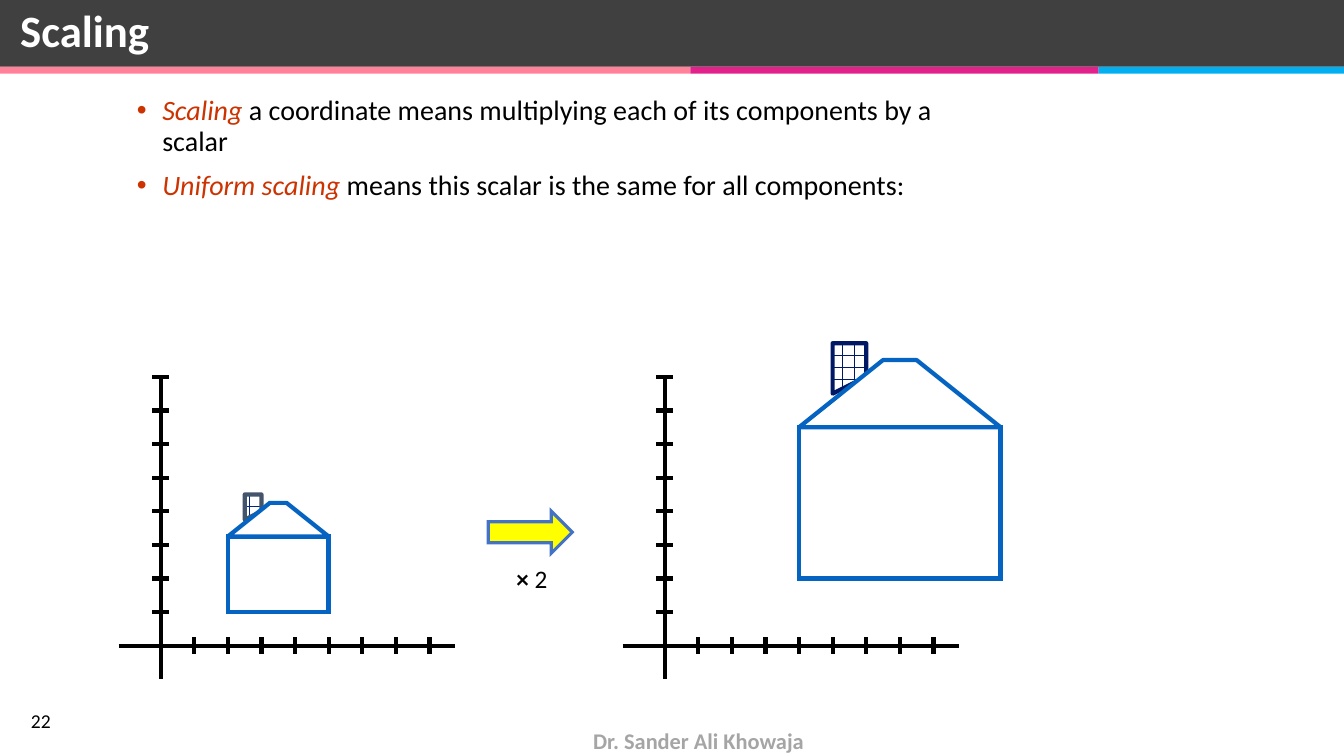
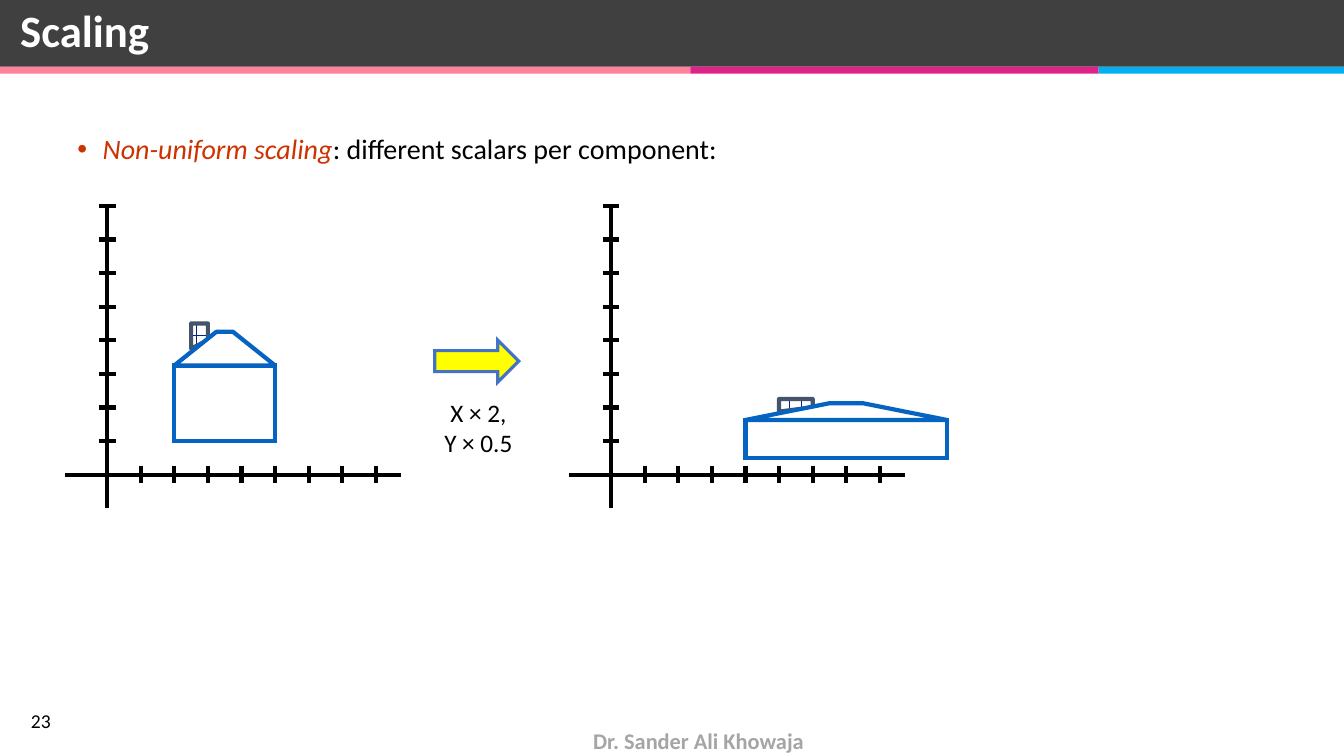
from itertools import accumulate

from lxml.etree import SubElement
from pptx import Presentation
from pptx.dml.color import RGBColor
from pptx.enum.dml import MSO_PATTERN
from pptx.enum.shapes import MSO_CONNECTOR, MSO_SHAPE
from pptx.enum.text import MSO_ANCHOR, PP_ALIGN
from pptx.oxml.ns import qn
from pptx.util import Cm, Pt

UNIT = 2.54 / 3
PLOT_GAP = 15
AXIS_TICKS = 8
BLACK, WHITE = "000000", "FFFFFF"
BAR, ACCENT, FOOTER = "404040", "CC3300", "A5A5A5"
HOUSE, SLATE, INK, NAVY = "0563C1", "44546A", "032389", "011965"
ARROW_FILL, ARROW_EDGE = "FFFF00", "4472C4"
STRIPES = [("FF829A", 17.4), ("E3218B", 10.29), ("00B0F0", 6.18)]

CHIMNEY = [(2.5, 3.75), (2.5, 4.5), (3, 4.5), (3, 4)]
WALLS = (2, 3.25, 3, 2.25)
ROOF = [(2, 3.25), (3.25, 4.25), (3.75, 4.25), (5, 3.25)]


def color(hex_value):
    return RGBColor.from_string(hex_value)


def write(paragraph, text, size=18, ink=BLACK, bold=False, italic=False):
    run = paragraph.add_run()
    run.text = text
    font = run.font
    font.name, font.size = "Calibri", Pt(size)
    font.bold, font.italic = bold, italic
    font.color.rgb = color(ink)


class Plot:
    def __init__(self, left, base):
        self.left, self.base = left, base

    def at(self, x, y):
        return self.left + x * UNIT, self.base - y * UNIT

    def shifted(self):
        return Plot(self.left + PLOT_GAP * UNIT, self.base)


class Deck:
    def __init__(self):
        self.presentation = Presentation()
        self.presentation.slide_width = Cm(33.87)
        self.presentation.slide_height = Cm(19.05)

    def start(self, title, number):
        self.slide = self.presentation.slides.add_slide(self.presentation.slide_layouts[6])
        author = self.text_box(14.66, 18.21, 5.89, 0.94, wrap=False)
        author.paragraphs[0].alignment = PP_ALIGN.CENTER
        write(author.paragraphs[0], "Dr. Sander Ali Khowaja", size=16, ink=FOOTER, bold=True)
        ends = accumulate(width for _, width in STRIPES)
        for (fill, width), end in zip(STRIPES, ends):
            self.shape(MSO_SHAPE.RECTANGLE, end - width, 1.68, width, 0.18, fill)
        frame = self.shape(MSO_SHAPE.RECTANGLE, 0, 0, 33.87, 1.68, BAR).text_frame
        frame.margin_left = Cm(0.51)
        frame.vertical_anchor = MSO_ANCHOR.MIDDLE
        heading = frame.paragraphs[0]
        heading.alignment, heading.line_spacing = PP_ALIGN.LEFT, 0.9
        write(heading, title, size=32, ink=WHITE, bold=True)
        page = self.text_box(0.53, 17.73, 7.62, 1.02)
        write(page.paragraphs[0], number, size=14)

    def finish(self, shape, edge, weight=3):
        shape.shadow.inherit = False
        if edge:
            shape.line.color.rgb = color(edge)
            shape.line.width = Pt(weight)
        else:
            shape.line.fill.background()

    def shape(self, kind, left, top, width, height, fill, edge=None, weight=3):
        shape = self.slide.shapes.add_shape(kind, Cm(left), Cm(top), Cm(width), Cm(height))
        shape.fill.solid()
        shape.fill.fore_color.rgb = color(fill)
        self.finish(shape, edge, weight)
        if edge:
            SubElement(shape.line._get_or_add_ln(), qn("a:miter"), lim="800000")
        return shape

    def outline(self, points, edge, brick=None):
        corners = [(Cm(x), Cm(y)) for x, y in points]
        builder = self.slide.shapes.build_freeform(*corners[0])
        builder.add_line_segments(corners[1:], close=True)
        shape = builder.convert_to_shape()
        if brick:
            shape.fill.patterned()
            shape.fill.pattern = MSO_PATTERN.HORIZONTAL_BRICK
            shape.fill.back_color.rgb = color(WHITE)
        else:
            shape.fill.solid()
        shape.fill.fore_color.rgb = color(brick or WHITE)
        self.finish(shape, edge)

    def line(self, start, end):
        ends = [Cm(value) for value in (*start, *end)]
        line = self.slide.shapes.add_connector(MSO_CONNECTOR.STRAIGHT, *ends)
        line.line.color.rgb = color(BLACK)
        line.line.width = Pt(3)
        SubElement(line._element.spPr, qn("a:effectLst"))

    def text_box(self, left, top, width, height, wrap=True):
        box = self.slide.shapes.add_textbox(Cm(left), Cm(top), Cm(width), Cm(height))
        box.text_frame.word_wrap = wrap
        return box.text_frame

    def bullets(self, left, top, width, height, items):
        frame = self.text_box(left, top, width, height)
        for index, (term, explanation) in enumerate(items):
            paragraph = frame.add_paragraph() if index else frame.paragraphs[0]
            props = paragraph._p.get_or_add_pPr()
            props.set("marL", str(Cm(0.64)))
            props.set("indent", str(-Cm(0.64)))
            SubElement(SubElement(props, qn("a:buClr")), qn("a:srgbClr"), val=ACCENT)
            SubElement(props, qn("a:buFont"), typeface="Arial")
            SubElement(props, qn("a:buChar"), char="•")
            paragraph.line_spacing = 0.9
            if index:
                paragraph.space_before = Pt(10)
            write(paragraph, term, size=20, ink=ACCENT, italic=True)
            write(paragraph, explanation, size=20)

    def axes(self, plot):
        self.line(plot.at(0, AXIS_TICKS), plot.at(0, -1))
        self.line(plot.at(-1.25, 0), plot.at(8.75, 0))
        for tick in range(1, AXIS_TICKS + 1):
            self.line(plot.at(tick, 0.25), plot.at(tick, -0.25))
            self.line(plot.at(-0.25, tick), plot.at(0.25, tick))

    def house(self, plot, scale_x=1, scale_y=1, edge=SLATE, brick=INK):
        def scaled(points):
            return [plot.at(x * scale_x, y * scale_y) for x, y in points]

        self.outline(scaled(CHIMNEY), edge, brick)
        x, y, width, height = WALLS
        self.shape(MSO_SHAPE.RECTANGLE, *plot.at(x * scale_x, y * scale_y),
                   width * scale_x * UNIT, height * scale_y * UNIT, WHITE, HOUSE)
        self.outline(scaled(ROOF), HOUSE)

    def scaling(self, plot, factors, label_y, label_lines, **chimney):
        result = plot.shifted()
        self.axes(plot)
        self.house(plot)
        self.axes(result)
        self.house(result, *factors, **chimney)
        self.shape(MSO_SHAPE.RIGHT_ARROW, *plot.at(9.75, 4), 2.5 * UNIT, 1.25 * UNIT,
                   ARROW_FILL, ARROW_EDGE, 2.25)
        center, middle = plot.at(11.05, label_y)
        width, height = 2.7, 1.02 + 0.76 * (len(label_lines) - 1)
        frame = self.text_box(center - width / 2, middle - height / 2, width, height, wrap=False)
        frame.vertical_anchor = MSO_ANCHOR.MIDDLE
        for index, runs in enumerate(label_lines):
            paragraph = frame.add_paragraph() if index else frame.paragraphs[0]
            paragraph.alignment = PP_ALIGN.CENTER
            for text, bold in runs:
                write(paragraph, text, bold=bold)


def main():
    deck = Deck()

    deck.start("Scaling", "22")
    deck.bullets(3.2, 2.31, 21.59, 6.65, [
        ("Scaling", " a coordinate means multiplying each of its components by a scalar"),
        ("Uniform scaling", " means this scalar is the same for all components:"),
    ])
    deck.scaling(Plot(4.05, 16.27), (2, 2), 2, [[("× ", True), ("2", False)]],
                 edge=NAVY, brick=NAVY)

    deck.start("Scaling", "23")
    deck.bullets(1.7, 3.28, 21.89, 12.09, [
        ("Non-uniform scaling", ": different scalars per component:"),
    ])
    deck.scaling(Plot(2.7, 11.96), (2, 0.5), 1.4, [[("X × 2,", False)], [("Y × 0.5", False)]])

    deck.presentation.save("out.pptx")


if __name__ == "__main__":
    main()
